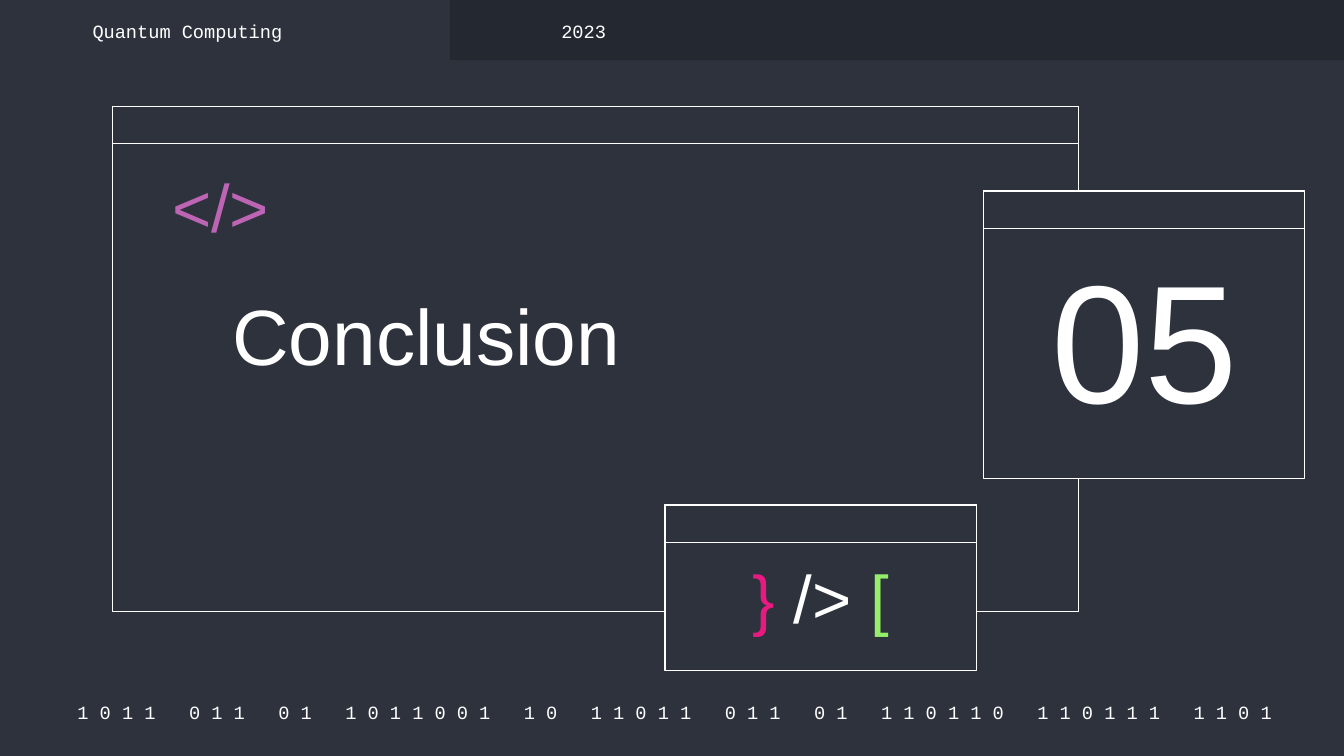
from pptx import Presentation
from pptx.dml.color import RGBColor
from pptx.enum.shapes import MSO_SHAPE as Shape
from pptx.enum.text import MSO_ANCHOR as Anchor, MSO_AUTO_SIZE as AutoSize, PP_ALIGN as Align
from pptx.util import Cm, Pt

COLORS = {"night": "2D323C", "tab": "242830", "white": "FFFFFF",
          "purple": "BD64B5", "pink": "E81981", "green": "94EE6B"}
SANS, MONO = "Arial", "Courier New"
BAR_HEIGHT = 0.71
INSET = Cm(0.25)

BITS = ["1011", "011", "01", "1011001", "10", "11011",
        "011", "01", "110110", "110111", "1101"]
BINARY = "   ".join(" ".join(group) for group in BITS)

TAB_STRIP = (8.51, 0, 16.89, 1.14)
WINDOWS = [(2.13, 2.01, 18.26, 9.55), (12.57, 9.55, 5.89, 3.12), (18.59, 3.61, 6.07, 5.44)]

TITLE = dict(place=(4.14, 5.18, 15.49, 4.19), runs=[("Conclusion", "white")],
             size=42, font=SANS, align=Align.LEFT, anchor=Anchor.TOP)
LABELS = [
    dict(place=(0.97, 13.21, 23.55, 0.51), runs=[(BINARY, "white")],
         size=10, font=MONO, align=Align.CENTER, anchor=Anchor.MIDDLE),
    dict(place=(19, 4.32, 5.26, 4.19), runs=[("05", "white")],
         size=90, font=SANS, align=Align.CENTER, anchor=Anchor.BOTTOM),
    dict(place=(2.34, 3.05, 3, 1.57), runs=[("</>", "purple")],
         size=36, font=SANS, align=Align.RIGHT, anchor=Anchor.TOP, spacing=0.9),
    dict(place=(13.82, 10.44, 3.38, 2.08),
         runs=[("}", "pink"), (" /> ", "white"), ("[", "green")],
         size=36, font=SANS, align=Align.CENTER, anchor=Anchor.TOP, spacing=0.9),
    dict(place=(1.5, 0.33, 5.56, 0.51), runs=[("Quantum Computing", "white")],
         size=10, font=MONO, align=Align.LEFT, anchor=Anchor.MIDDLE),
    dict(place=(10.36, 0.33, 5.56, 0.51), runs=[("2023", "white")],
         size=10, font=MONO, align=Align.LEFT, anchor=Anchor.MIDDLE),
]


def color(name):
    return RGBColor.from_string(COLORS[name])


def add_panel(slide, place, fill, outlined=True):
    panel = slide.shapes.add_shape(Shape.RECTANGLE, *map(Cm, place))
    panel.shadow.inherit = False
    panel.fill.solid()
    panel.fill.fore_color.rgb = color(fill)
    if outlined:
        panel.line.color.rgb = color("white")
        panel.line.width = Pt(0.75)
    else:
        panel.line.fill.background()


def write(box, place, runs, size, font, align, anchor, spacing=1.0):
    box.left, box.top, box.width, box.height = map(Cm, place)
    frame = box.text_frame
    frame.word_wrap = True
    frame.auto_size = AutoSize.NONE
    frame.vertical_anchor = anchor
    frame.margin_left = frame.margin_right = INSET
    frame.margin_top = frame.margin_bottom = INSET
    paragraph = frame.paragraphs[0]
    paragraph.alignment = align
    paragraph.line_spacing = spacing
    for words, ink in runs:
        run = paragraph.add_run()
        run.text = words
        run.font.size = Pt(size)
        run.font.name = font
        run.font.color.rgb = color(ink)


def main():
    """Build the closing section slide with its code windows."""
    deck = Presentation()
    deck.slide_width, deck.slide_height = Cm(25.4), Cm(14.29)
    slide = deck.slides.add_slide(deck.slide_layouts[5])
    slide.background.fill.solid()
    slide.background.fill.fore_color.rgb = color("night")

    add_panel(slide, TAB_STRIP, "tab", outlined=False)
    for left, top, width, height in WINDOWS:
        for panel_height in (height, BAR_HEIGHT):
            add_panel(slide, (left, top, width, panel_height), "night")

    title = slide.shapes.title
    slide.shapes.element.append(title.element)
    write(title, **TITLE)
    for label in LABELS:
        write(slide.shapes.add_textbox(0, 0, 0, 0), **label)
    deck.save("out.pptx")


if __name__ == "__main__":
    main()
